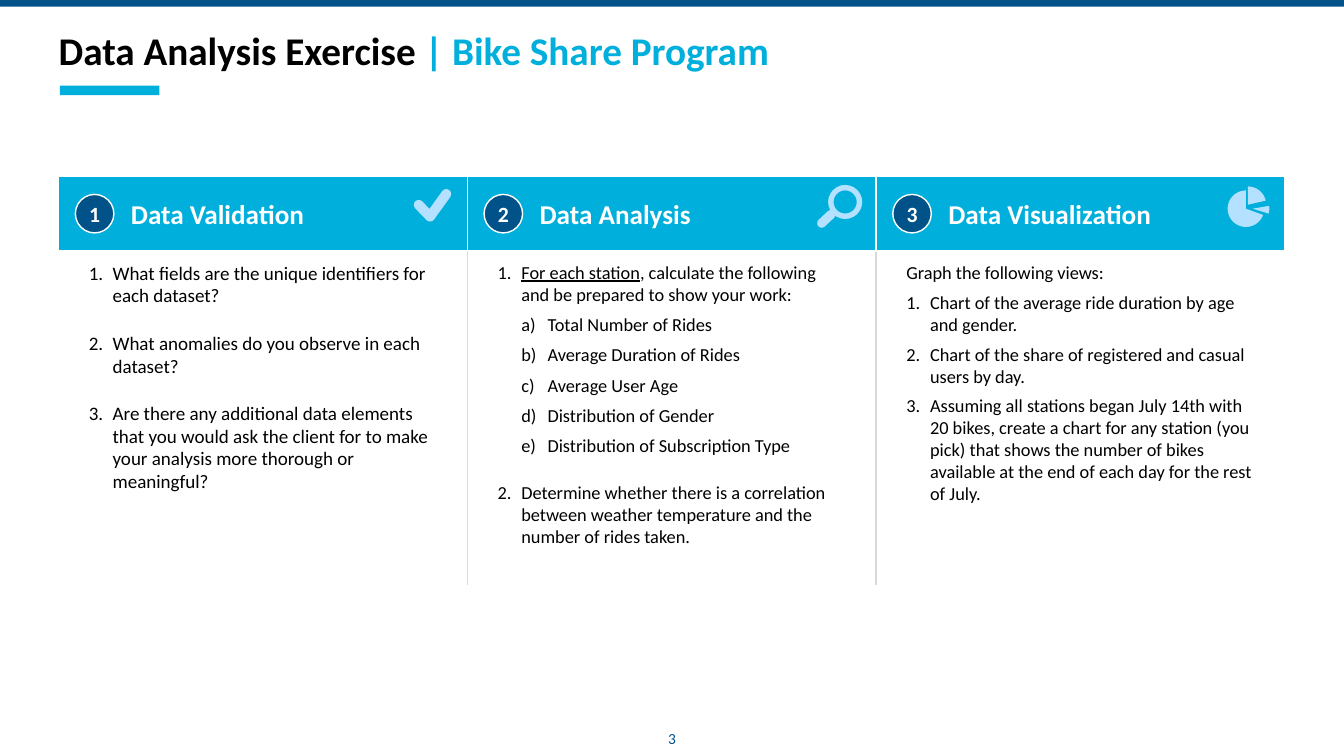
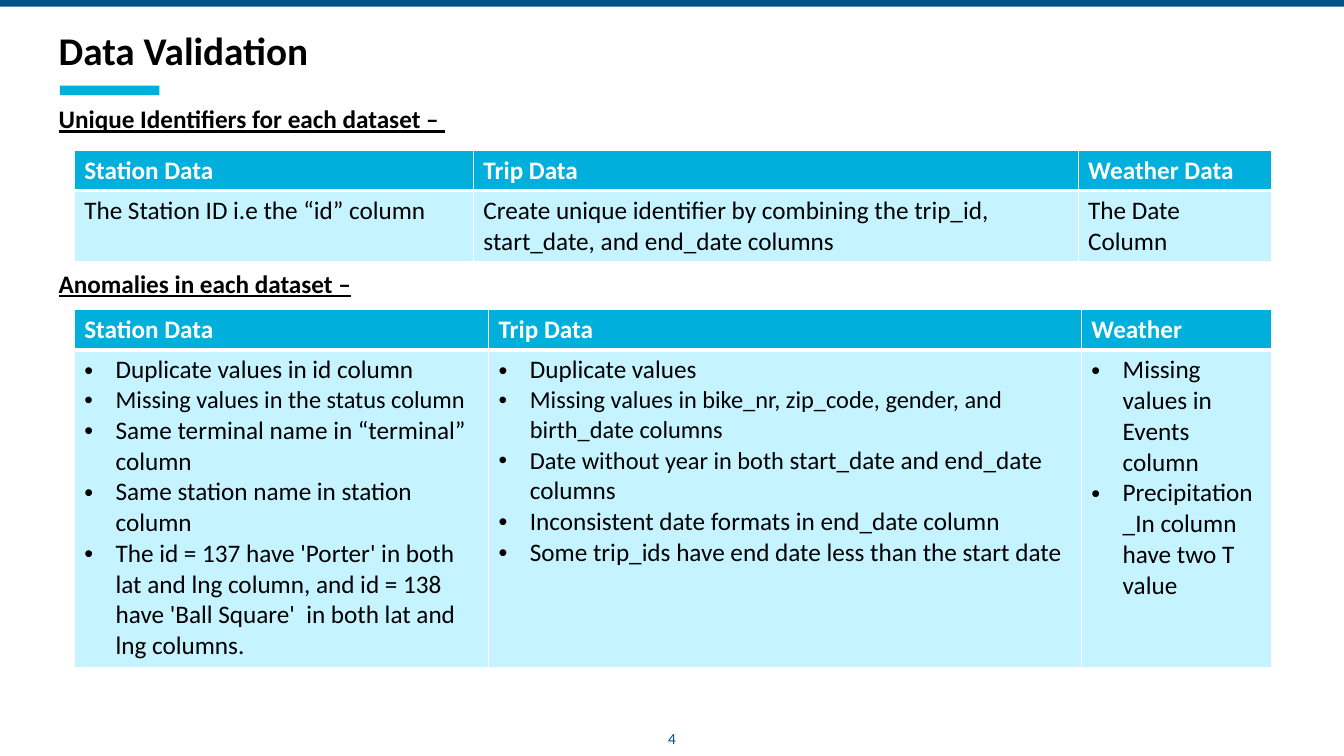
import math

from lxml import etree
from pptx import Presentation
from pptx.dml.color import RGBColor
from pptx.enum import shapes, text
from pptx.oxml import ns
from pptx.util import Cm, Pt

NAVY, CYAN, PALE_CYAN, ICON_BLUE = "005288", "00AFDB", "C5F3FF", "B4E1FF"
BLACK, WHITE, GREY = "000000", "FFFFFF", "D9D9D9"
FONT = "Calibri"
SLIDE_WIDTH, SLIDE_HEIGHT = 33.87, 19.05
SIDE_MARGIN = 1.48
rgb = RGBColor.from_string
KIND = shapes.MSO_SHAPE


def add_box(slide, kind, left, top, width, height, fill, line=None):
    box = slide.shapes.add_shape(kind, Cm(left), Cm(top), Cm(width), Cm(height))
    box.shadow.inherit = False
    box.fill.solid()
    box.fill.fore_color.rgb = rgb(fill)
    if line:
        box.line.color.rgb = rgb(line)
        box.line.width = Pt(1)
    else:
        box.line.fill.background()
    return box


def write(paragraph, runs, size, color=BLACK, bold=False, bullet=None, indent=0, hanging=0):
    """Fill a paragraph from a string or (string, font settings) pairs.

    A bullet is a character or the name of a numbering scheme.
    """
    properties = paragraph._p.get_or_add_pPr()
    properties.set("marL", str(Cm(indent)))
    properties.set("indent", str(-Cm(hanging)))
    if bullet == "•":
        etree.SubElement(properties, ns.qn("a:buFont")).set("typeface", "Arial")
        etree.SubElement(properties, ns.qn("a:buChar")).set("char", bullet)
    elif bullet:
        etree.SubElement(properties, ns.qn("a:buAutoNum")).set("type", bullet)
    font = paragraph.font
    font.name, font.size, font.bold = FONT, Pt(size), bold
    font.color.rgb = rgb(color)
    for words, settings in [(runs, {})] if isinstance(runs, str) else runs:
        run = paragraph.add_run()
        run.text = words
        if "color" in settings:
            run.font.color.rgb = rgb(settings["color"])
        if "size" in settings:
            run.font.size = Pt(settings["size"])
        if "underline" in settings:
            run.font.underline = settings["underline"]


deck = Presentation()
deck.slide_width, deck.slide_height = Cm(SLIDE_WIDTH), Cm(SLIDE_HEIGHT)

# Title, bands and page number
titles = [
    [("Data Analysis Exercise ", {}), ("| Bike Share Program", {"color": CYAN})],
    "Data Validation",
]
for number, title in enumerate(titles, start=3):
    slide = deck.slides.add_slide(deck.slide_layouts[6])
    add_box(slide, KIND.RECTANGLE, 0, 0, SLIDE_WIDTH, 0.17, NAVY)
    add_box(slide, KIND.RECTANGLE, 1.51, 2.16, 2.51, 0.24, CYAN)
    heading = slide.shapes.add_textbox(0, Cm(0.53), deck.slide_width, Cm(1.27)).text_frame
    heading.word_wrap = True
    heading.margin_left = heading.margin_right = Cm(SIDE_MARGIN)
    write(heading.paragraphs[0], title, 28, bold=True)
    page = slide.shapes.add_textbox(Cm(15.31), Cm(18.26), Cm(3.25), Cm(0.74)).text_frame
    page.paragraphs[0].alignment = text.PP_ALIGN.CENTER
    write(page.paragraphs[0], str(number), 11, NAVY)
exercise, validation = deck.slides

# Exercise: three columns; each line is (runs, bullet, indent, hanging, before, after)
COLUMN_WIDTH, HEADER_TOP, HEADER_HEIGHT = 10.3, 4.45, 1.88
NUMBERED = ("arabicPeriod", 0.6, 0.6)
LETTERED = ("alphaLcParenR", 1.26, 0.66)
PLAIN = (None, 0, 0)
columns = [
    ("Data Validation", 13.6, [
        (question, *NUMBERED, 17.4, 0) for question in (
            "What fields are the unique identifiers for each dataset?",
            "What anomalies do you observe in each dataset?",
            "Are there any additional data elements that you would ask the client for "
            "to make your analysis more thorough or meaningful?",
        )
    ]),
    ("Data Analysis", 13.1, [
        ([("For each station", {"underline": True}),
          (", calculate the following and be prepared to show your work:", {})],
         *NUMBERED, 0, 5.6),
        *((measure, *LETTERED, 0, 6) for measure in (
            "Total Number of Rides",
            "Average Duration of Rides",
            "Average User Age",
            "Distribution of Gender",
            "Distribution of Subscription Type",
        )),
        ("Determine whether there is a correlation between weather temperature and "
         "the number of rides taken.", *NUMBERED, 11.6, 0),
    ]),
    ("Data Visualization", 13.1, [
        ("Graph the following views:", *PLAIN, 0, 5.6),
        *((view, *NUMBERED, 0, 5.6) for view in (
            "Chart of the average ride duration by age and gender.",
            "Chart of the share of registered and casual users by day.",
            "Assuming all stations began July 14th with 20 bikes, create a chart for any "
            "station (you pick) that shows the number of bikes available at the end of "
            "each day for the rest of July.",
        )),
    ]),
]
for index, (name, size, lines) in enumerate(columns):
    left = SIDE_MARGIN + index * COLUMN_WIDTH
    body = exercise.shapes.add_textbox(
        Cm(left), Cm(HEADER_TOP + HEADER_HEIGHT), Cm(COLUMN_WIDTH), Cm(8.86)).text_frame
    body.word_wrap = True
    body.margin_left = body.margin_right = Cm(0.76)
    body.margin_top = Cm(0.25)
    for position, (runs, bullet, indent, hanging, before, after) in enumerate(lines):
        paragraph = body.add_paragraph() if position else body.paragraphs[0]
        paragraph.level = 1 if bullet == "alphaLcParenR" else 0
        paragraph.space_before, paragraph.space_after = Pt(before), Pt(after)
        write(paragraph, runs, size, bullet=bullet, indent=indent, hanging=hanging)

    if index:
        divider = exercise.shapes.add_connector(
            shapes.MSO_CONNECTOR.STRAIGHT, Cm(left), Cm(6.17), Cm(left), Cm(14.73))
        divider.line.color.rgb = rgb(GREY)
        divider.line.width = Pt(1)
        etree.SubElement(divider._element.spPr, ns.qn("a:effectLst"))

    header = add_box(exercise, KIND.RECTANGLE, left, HEADER_TOP, COLUMN_WIDTH,
                     HEADER_HEIGHT, CYAN, WHITE)
    header.text_frame.vertical_anchor = text.MSO_ANCHOR.MIDDLE
    header.text_frame.paragraphs[0].alignment = text.PP_ALIGN.LEFT
    write(header.text_frame.paragraphs[0], name, 19.4, WHITE, True, indent=1.57)
    badge = add_box(exercise, KIND.OVAL, left + 0.42, 4.9, 0.97, 0.97, NAVY, WHITE)
    badge.text_frame.vertical_anchor = text.MSO_ANCHOR.MIDDLE
    badge.text_frame.margin_left = badge.text_frame.margin_right = 0
    badge.text_frame.paragraphs[0].alignment = text.PP_ALIGN.CENTER
    write(badge.text_frame.paragraphs[0], str(index + 1), 15.5, WHITE, True)

# Check mark strokes and magnifier handle, then the lens
for left, top, width, height, rotation in [
    (10.57, 4.98, 0.25, 0.66, 316),
    (10.92, 4.7, 0.25, 0.94, 35.7),
    (20.55, 5.4, 0.55, 0.23, 317),
]:
    stroke = add_box(exercise, KIND.ROUNDED_RECTANGLE, left, top, width, height, ICON_BLUE)
    stroke.adjustments[0] = 0.5
    stroke.rotation = rotation
lens = add_box(exercise, KIND.DONUT, 20.87, 4.66, 0.86, 0.86, ICON_BLUE)
lens.adjustments[0] = 0.16

# Pie icon: wedges as (centre x, centre y, radius, start and end in degrees)
wedges = [
    (31.4, 5.26, 0.46, 20, 270),
    (31.45, 5.16, 0.46, 270, 347),
    (31.57, 5.26, 0.42, 350, 377),
]
outline = exercise.shapes.build_freeform(Cm(wedges[0][0]), Cm(wedges[0][1]))
for x, y, radius, start, end in wedges:
    if (x, y) != wedges[0][:2]:
        outline.move_to(Cm(x), Cm(y))
    angles = [math.radians(start + (end - start) * step / 40) for step in range(41)]
    outline.add_line_segments([
        (Cm(x + radius * math.cos(angle)), Cm(y + radius * math.sin(angle)))
        for angle in angles])
pie = outline.convert_to_shape()
pie.shadow.inherit = False
pie.fill.solid()
pie.fill.fore_color.rgb = rgb(ICON_BLUE)
pie.line.fill.background()

# Validation: two headed tables; each cell line is (runs, size)
sections = [
    ("Unique Identifiers for each dataset – ", 2.49, 3.78, (10.06, 15.24, 4.88), (1, 1.8), None,
     ["Station Data", "Trip Data", "Weather Data"],
     [
         [("The Station ID i.e the “id” column", 18)],
         [("Create unique identifier by combining the trip_id, start_date, "
           "and end_date columns", 18)],
         [("The Date Column", 18)],
     ]),
    ("Anomalies in each dataset –", 6.63, 7.8, (10.44, 14.94, 4.8), (1, 8), "•",
     ["Station Data", "Trip Data", "Weather"],
     [
         [("Duplicate values in id column", 18),
          ("Missing values in the status column", 17.4),
          ("Same terminal name in “terminal” column", 18),
          ("Same station name in station column", 18),
          ("The id = 137 have 'Porter' in both lat and lng column, and id = 138 have "
           "'Ball Square'  in both lat and lng columns.", 18)],
         [("Duplicate values", 18),
          ("Missing values in bike_nr, zip_code, gender, and birth_date columns", 17.4),
          ([("Date without year in both ", {"size": 17.4}),
            ("start_date and end_date columns", {})], 18),
          ("Inconsistent date formats in end_date column", 18),
          ("Some trip_ids have end date less than the start date", 18)],
         [("Missing values in Events column", 18),
          ("Precipitation_In column have two T value", 18)],
     ]),
]
for caption, caption_top, top, widths, heights, bullet, headers, findings in sections:
    label = validation.shapes.add_textbox(
        0, Cm(caption_top), deck.slide_width, Cm(1)).text_frame
    label.margin_left = Cm(SIDE_MARGIN)
    write(label.paragraphs[0], [(caption, {"underline": True})], 18, bold=True)

    table = validation.shapes.add_table(
        2, len(widths), Cm(1.87), Cm(top), Cm(sum(widths)), Cm(sum(heights))).table
    for row, height in zip(table.rows, heights):
        row.height = Cm(height)
    for column, width in zip(table.columns, widths):
        column.width = Cm(width)
    rows = [
        ([[(header, 18)] for header in headers], CYAN, WHITE, None, "lnB"),
        (findings, PALE_CYAN, BLACK, bullet, "lnT"),
    ]
    for row, (contents, fill, color, mark, thick_side) in enumerate(rows):
        for column, lines in enumerate(contents):
            cell = table.cell(row, column)
            for side in ("lnL", "lnR", "lnT", "lnB"):
                border = etree.SubElement(cell._tc.get_or_add_tcPr(), ns.qn("a:" + side))
                border.set("w", str(Pt(3 if side == thick_side else 1)))
                paint = etree.SubElement(border, ns.qn("a:solidFill"))
                etree.SubElement(paint, ns.qn("a:srgbClr")).set("val", WHITE)
            cell.fill.solid()
            cell.fill.fore_color.rgb = rgb(fill)
            frame = cell.text_frame
            gap = 0.79 if mark else 0
            for position, (runs, size) in enumerate(lines):
                paragraph = frame.add_paragraph() if position else frame.paragraphs[0]
                write(paragraph, runs, size, color, row == 0, mark, gap, gap)

deck.save("out.pptx")
